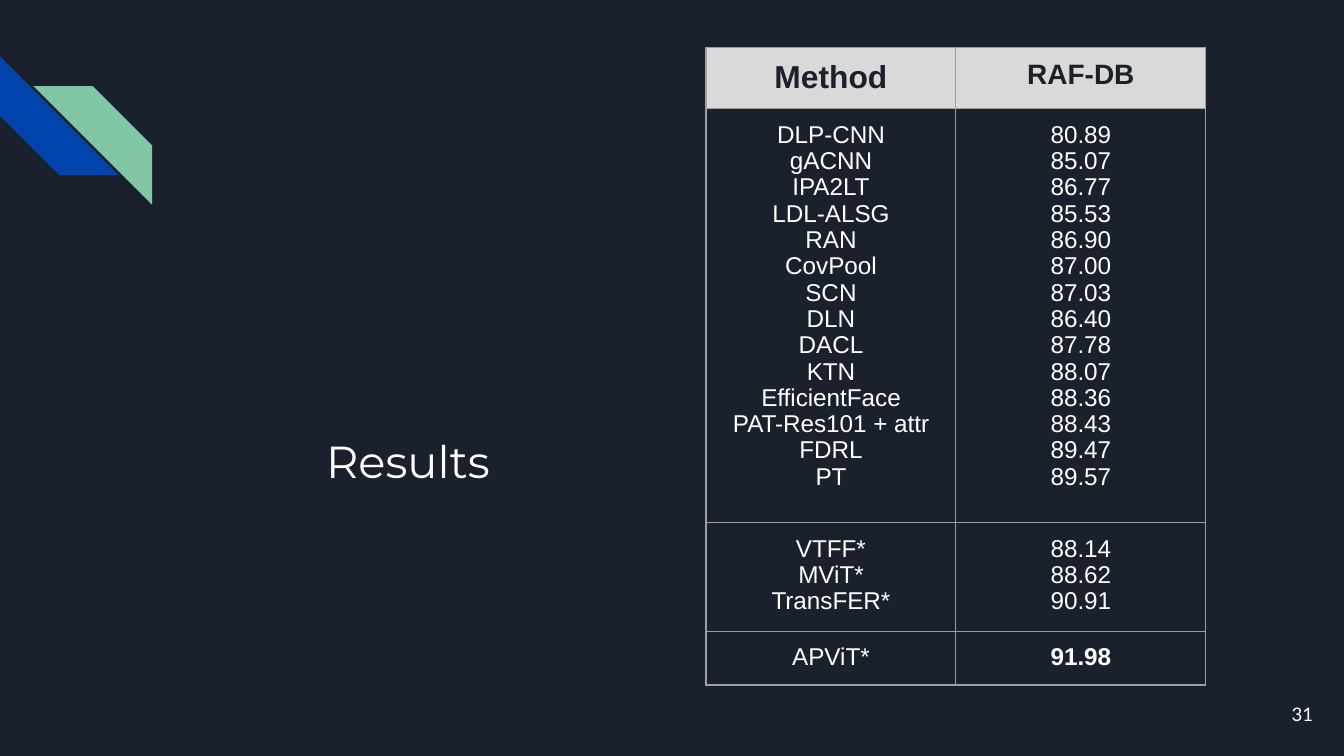
from lxml import etree
from pptx import Presentation
from pptx.dml.color import RGBColor
from pptx.enum.shapes import MSO_SHAPE
from pptx.enum.text import MSO_ANCHOR, MSO_AUTO_SIZE, PP_ALIGN
from pptx.oxml.ns import qn
from pptx.util import Pt

STRIPE = MSO_SHAPE.DIAGONAL_STRIPE
TOP, MIDDLE, BOTTOM = MSO_ANCHOR.TOP, MSO_ANCHOR.MIDDLE, MSO_ANCHOR.BOTTOM
CENTER, RIGHT = PP_ALIGN.CENTER, PP_ALIGN.RIGHT
FIXED = MSO_AUTO_SIZE.NONE
TITLE_ONLY = 5

DARK, WHITE, GREY, RULE = "1B212C", "FFFFFF", "D9D9D9", "9E9E9E"
BLUE, GREEN = "0145AC", "82C7A5"

GROUPS = [
    [("DLP-CNN", "80.89"), ("gACNN", "85.07"), ("IPA2LT", "86.77"),
     ("LDL-ALSG", "85.53"), ("RAN", "86.90"), ("CovPool", "87.00"),
     ("SCN", "87.03"), ("DLN", "86.40"), ("DACL", "87.78"),
     ("KTN", "88.07"), ("EfficientFace", "88.36"),
     ("PAT-Res101 + attr", "88.43"), ("FDRL", "89.47"), ("PT", "89.57")],
    [("VTFF*", "88.14"), ("MViT*", "88.62"), ("TransFER*", "90.91")],
    [("APViT*", "91.98")],
]
HEIGHTS = [28.8, 221.76, 58.1, 28.8]


def color(code):
    return RGBColor.from_string(code)


class Deck:
    inset = 7.2

    def __init__(self, width, height):
        self.file = Presentation()
        self.file.slide_width, self.file.slide_height = Pt(width), Pt(height)
        layout = self.file.slide_layouts[TITLE_ONLY]
        self.slide = self.file.slides.add_slide(layout)
        fill = self.slide.background.fill
        fill.solid()
        fill.fore_color.rgb = color(DARK)

    def text(self, frame, lines, size, font, ink=WHITE, align=CENTER,
             bold=False, space=1):
        for i, line in enumerate(lines):
            para = frame.paragraphs[0] if i == 0 else frame.add_paragraph()
            para.text = line
            para.alignment = align
            para.line_spacing = space
            para.font.size, para.font.name = Pt(size), font
            para.font.bold = bold
            para.font.color.rgb = color(ink)

    def pad(self, item):
        item.margin_left = item.margin_right = Pt(self.inset)
        item.margin_top = item.margin_bottom = Pt(self.inset)

    def frame(self, shape, anchor):
        frame = shape.text_frame
        frame.word_wrap, frame.auto_size = True, FIXED
        frame.vertical_anchor = anchor
        self.pad(frame)
        return frame

    def title(self, text, x, y, w, h):
        shape = self.slide.shapes.title
        shape.left, shape.top = Pt(x), Pt(y)
        shape.width, shape.height = Pt(w), Pt(h)
        self.text(self.frame(shape, BOTTOM), [text], 24, "Montserrat")

    def number(self, text, x, y, w, h):
        box = self.slide.shapes.add_textbox(Pt(x), Pt(y), Pt(w), Pt(h))
        self.text(self.frame(box, MIDDLE), [text], 10, "Lato", align=RIGHT)

    def stripe(self, x, y, side, fill, turn=0, flip=False):
        shape = self.slide.shapes.add_shape(
            STRIPE, Pt(x), Pt(y), Pt(side), Pt(side))
        shape.adjustments[0] = 0.5
        shape.rotation = turn
        shape.shadow.inherit = False
        shape.fill.solid()
        shape.fill.fore_color.rgb = color(fill)
        shape.line.fill.background()
        if flip:
            shape.element.spPr.find(qn("a:xfrm")).set("flipH", "1")

    def table(self, x, y, width, heights, cols):
        shape = self.slide.shapes.add_table(
            len(heights), cols, Pt(x), Pt(y),
            Pt(width * cols), Pt(sum(heights)))
        grid = shape.table
        for col in grid.columns:
            col.width = Pt(width)
        for row, height in zip(grid.rows, heights):
            row.height = Pt(height)
        return grid

    def cell(self, cell, lines, size, ink=WHITE, bold=False, fill=None):
        self.pad(cell)
        cell.vertical_anchor = TOP
        self.text(cell.text_frame, lines, size, "Arial", ink,
                  bold=bold, space=0.97)
        self.border(cell)
        if fill:
            cell.fill.solid()
            cell.fill.fore_color.rgb = color(fill)
        else:
            cell.fill.background()

    def border(self, cell):
        props = cell._tc.get_or_add_tcPr()
        for side in ("a:lnL", "a:lnR", "a:lnT", "a:lnB"):
            line = etree.SubElement(props, qn(side), w=str(Pt(0.75)))
            solid = etree.SubElement(line, qn("a:solidFill"))
            etree.SubElement(solid, qn("a:srgbClr"), val=RULE)


def main():
    deck = Deck(720, 405)
    deck.stripe(0, 30.2, 63.6, BLUE, turn=270)
    deck.stripe(18, 46.2, 63.6, GREEN, flip=True)
    deck.title("Results ", 102.2, 130.3, 239, 138.2)
    deck.number("31", 667.4, 367.2, 43.2, 31)

    grid = deck.table(378.2, 25.4, 133.9, HEIGHTS, 2)
    for col, (name, size) in enumerate([("Method", 17), ("RAF-DB", 15)]):
        deck.cell(grid.cell(0, col), [name], size, DARK, True, GREY)
    for row, group in enumerate(GROUPS, 1):
        for col, lines in enumerate(zip(*group)):
            best = row == len(GROUPS) and col == 1
            deck.cell(grid.cell(row, col), lines, 13, bold=best)
    deck.file.save("out.pptx")


if __name__ == "__main__":
    main()
